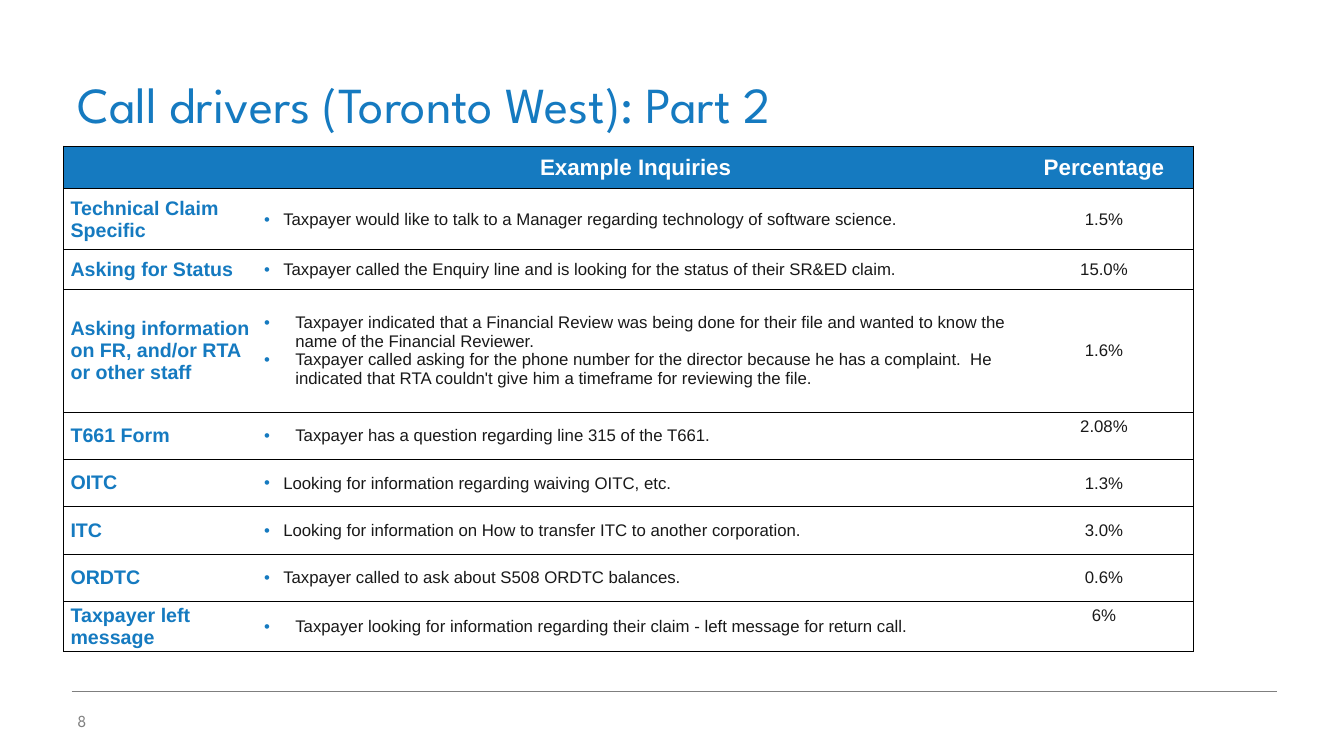
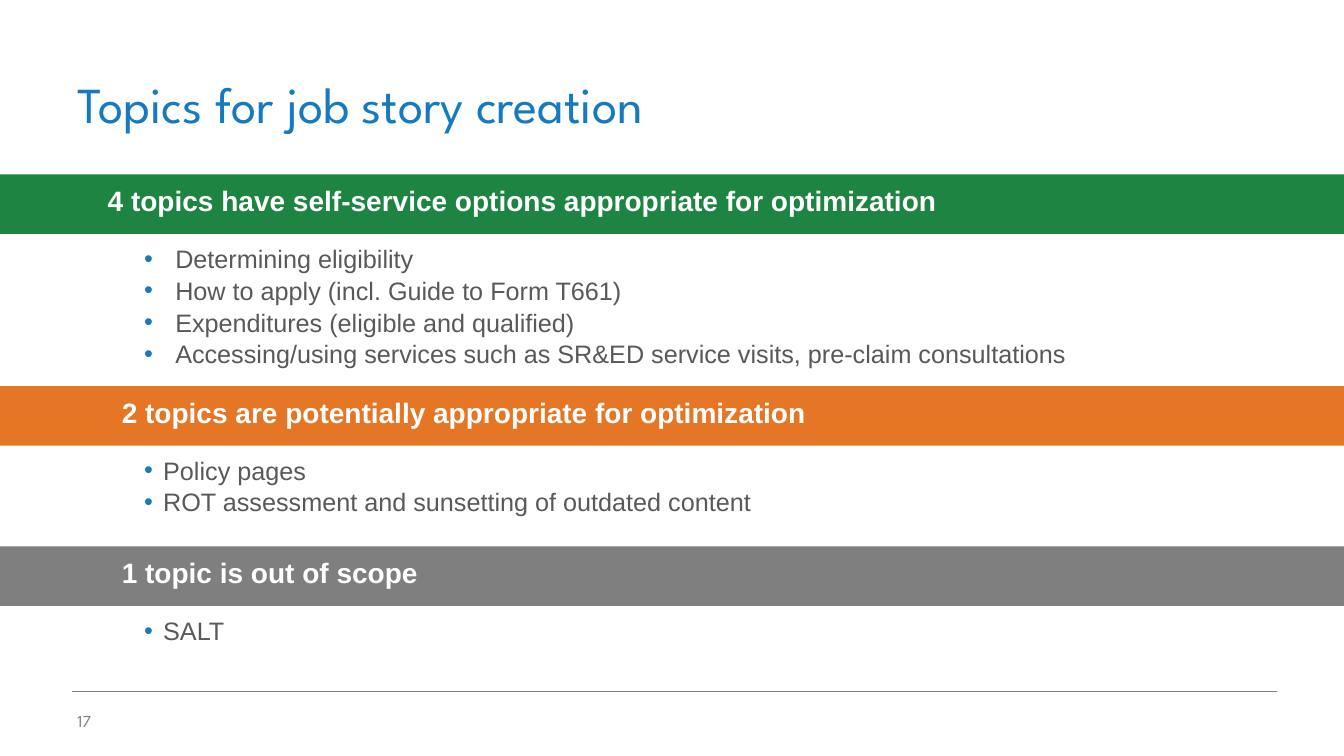
from lxml import etree
from pptx import Presentation
from pptx.dml.color import RGBColor
from pptx.enum.shapes import MSO_CONNECTOR as Connector, MSO_SHAPE as Shape
from pptx.enum.text import MSO_ANCHOR as Anchor, MSO_AUTO_SIZE as AutoSize, PP_ALIGN as Align
from pptx.oxml.ns import qn
from pptx.util import Inches, Pt

COLORS = {
    "blue": "157AC0", "green": "1E8441", "orange": "E47625", "gray": "7F7F7F",
    "body": "595959", "cell": "191919", "white": "FFFFFF", "black": "000000",
}
FONTS = {
    "title": {"name": "League Spartan", "size": Pt(36), "bold": False, "color": "blue"},
    "number": {"name": "League Spartan", "size": Pt(12), "bold": False, "color": "gray"},
    "band": {"name": "Arial", "size": Pt(20), "bold": True, "color": "white"},
    "list": {"name": "Arial", "size": Pt(18), "bold": False, "color": "body"},
    "header": {"name": "Arial", "size": Pt(16), "bold": True, "color": "white"},
    "driver": {"name": "Arial", "size": Pt(14), "bold": True, "color": "blue"},
    "cell": {"name": "Arial", "size": Pt(12), "bold": False, "color": "cell"},
}
NARROW, WIDE = 0.19, 0.31  # hanging indents of bullets


def rgb(color):
    return RGBColor.from_string(COLORS[color])


def set_values(target, **values):
    for name, value in values.items():
        setattr(target, name, value)


def add_color(parent, tag, color):
    holder = etree.SubElement(parent, qn(tag))
    etree.SubElement(holder, qn("a:srgbClr"), val=COLORS[color])


class Deck:
    """Holds the shared style and the slide being built."""

    def __init__(self):
        self.presentation = Presentation()
        set_values(self.presentation, slide_width=Inches(13.33), slide_height=Inches(7.5))
        self.slide = None

    def new_slide(self, title, number):
        self.slide = self.presentation.slides.add_slide(self.presentation.slide_layouts[5])
        shape = self.slide.shapes.title
        set_values(shape, left=Inches(0.67), top=Inches(0.3),
                   width=Inches(12), height=Inches(1.08))
        set_values(shape.text_frame, auto_size=AutoSize.NONE, vertical_anchor=Anchor.BOTTOM)
        self.paragraphs(shape.text_frame, [title], "title")
        self.rule(0.71, 12.67, 6.86)
        self.text([str(number)], "number", 0.67, 6.95, 1.43, 0.4, anchor=Anchor.MIDDLE)

    def paragraphs(self, frame, lines, style, align=Align.LEFT, indent=None, hang=None,
                   spacing=None):
        for index, line in enumerate(lines):
            paragraph = frame.paragraphs[0] if index == 0 else frame.add_paragraph()
            set_values(paragraph, alignment=align, line_spacing=spacing)
            run = paragraph.add_run()
            run.text = line
            for name, value in FONTS[style].items():
                if name == "color":
                    run.font.color.rgb = rgb(value)
                else:
                    setattr(run.font, name, value)
            if hang:
                self.bullet(paragraph, indent or hang, hang)

    def bullet(self, paragraph, indent, hang):
        properties = paragraph._p.get_or_add_pPr()
        properties.set("marL", str(Inches(indent)))
        properties.set("indent", str(-Inches(hang)))
        add_color(properties, "a:buClr", "blue")
        etree.SubElement(properties, qn("a:buFont"), typeface="Arial")
        etree.SubElement(properties, qn("a:buChar"), char="•")

    def text(self, lines, style, left, top, width, height, anchor=Anchor.TOP, **layout):
        box = self.slide.shapes.add_textbox(Inches(left), Inches(top), Inches(width), Inches(height))
        set_values(box.text_frame, word_wrap=True, vertical_anchor=anchor)
        self.paragraphs(box.text_frame, lines, style, **layout)

    def rule(self, left, right, top):
        line = self.slide.shapes.add_connector(
            Connector.STRAIGHT, Inches(left), Inches(top), Inches(right), Inches(top))
        line.line.color.rgb = rgb("gray")
        line.line.width = Pt(0.25)
        etree.SubElement(line._element.spPr, qn("a:effectLst"))

    def band(self, label, color, top, text_left):
        shape = self.slide.shapes.add_shape(
            Shape.RECTANGLE, 0, Inches(top), self.presentation.slide_width, Inches(0.59))
        shape.shadow.inherit = False
        shape.fill.solid()
        shape.fill.fore_color.rgb = rgb(color)
        shape.line.fill.background()
        self.text([label], "band", text_left, top + 0.04, 11.9, 0.44)

    def table(self, left, top, widths, heights):
        frame = self.slide.shapes.add_table(
            len(heights), len(widths), Inches(left), Inches(top),
            Inches(sum(widths)), Inches(sum(heights)))
        table = frame.table
        set_values(table, first_row=False, horz_banding=False)
        for column, width in zip(table.columns, widths):
            column.width = Inches(width)
        for row, height in zip(table.rows, heights):
            row.height = Inches(height)
        return table

    def cell(self, table, row, column, lines, style, fill=None, raised=False, **layout):
        cell = table.cell(row, column)
        set_values(cell, margin_left=Inches(0.07), margin_right=Inches(0.07),
                   margin_top=Inches(0.05 if raised else 0), margin_bottom=0,
                   vertical_anchor=Anchor.TOP if raised else Anchor.MIDDLE)
        last = len(table.columns) - 1
        self.borders(cell, {"L": column == 0, "R": column == last, "T": True, "B": True})
        if fill:
            cell.fill.solid()
            cell.fill.fore_color.rgb = rgb(fill)
        else:
            cell.fill.background()
        self.paragraphs(cell.text_frame, lines, style, **layout)

    def borders(self, cell, sides):
        properties = cell._tc.get_or_add_tcPr()
        for side, visible in sides.items():
            line = etree.SubElement(properties, qn(f"a:ln{side}"), w=str(Pt(0.75)))
            if visible:
                add_color(line, "a:solidFill", "black")
            else:
                etree.SubElement(line, qn("a:noFill"))


# Driver, example inquiries, percentage, hanging indent, row height, raised percentage
CALL_DRIVERS = [
    ("Technical Claim Specific",
     ["Taxpayer would like to talk to a Manager regarding technology of software science."],
     "1.5%", NARROW, 0.61, False),
    ("Asking for Status",
     ["Taxpayer called the Enquiry line and is looking for the status of their SR&ED claim."],
     "15.0%", NARROW, 0.39, False),
    ("Asking information on FR, and/or RTA or other staff",
     ["Taxpayer indicated that a Financial Review was being done for their file and wanted "
      "to know the name of the Financial Reviewer.",
      "Taxpayer called asking for the phone number for the director because he has a "
      "complaint.  He indicated that RTA couldn't give him a timeframe for reviewing the file."],
     "1.6%", WIDE, 1.22, False),
    ("T661 Form", ["Taxpayer has a question regarding line 315 of the T661."],
     "2.08%", WIDE, 0.47, True),
    ("OITC", ["Looking for information regarding waiving OITC, etc."],
     "1.3%", NARROW, 0.47, False),
    ("ITC", ["Looking for information on How to transfer ITC to another corporation."],
     "3.0%", NARROW, 0.47, False),
    ("ORDTC", ["Taxpayer called to ask about S508 ORDTC balances."],
     "0.6%", NARROW, 0.47, False),
    ("Taxpayer left message",
     ["Taxpayer looking for information regarding their claim - left message for return call."],
     "6%", WIDE, 0.5, True),
]

# Band label, colour, band top, label left, topics, hanging indent
TOPIC_GROUPS = [
    ("4 topics have self-service options appropriate for optimization", "green", 1.73, 0.97,
     ["Determining eligibility",
      "How to apply (incl. Guide to Form T661)",
      "Expenditures (eligible and qualified)",
      "Accessing/using services such as SR&ED service visits, pre-claim consultations"], WIDE),
    ("2 topics are potentially appropriate for optimization", "orange", 3.83, 1.11,
     ["Policy pages", "ROT assessment and sunsetting of outdated content"], NARROW),
    ("1 topic is out of scope", "gray", 5.42, 1.11, ["SALT"], NARROW),
]


def build_call_drivers(deck):
    deck.new_slide("Call drivers (Toronto West): Part 2", 8)
    heights = [0.42] + [driver[4] for driver in CALL_DRIVERS]
    table = deck.table(0.63, 1.45, [1.92, 7.51, 1.78], heights)
    # Header row
    for column, label in enumerate([[], ["Example Inquiries"], ["Percentage"]]):
        deck.cell(table, 0, column, label, "header", fill="blue", align=Align.CENTER)
    # One row per call driver
    for row, (driver, inquiries, share, hang, _, raised) in enumerate(CALL_DRIVERS, 1):
        deck.cell(table, row, 0, [driver], "driver")
        deck.cell(table, row, 1, inquiries, "cell", hang=hang)
        deck.cell(table, row, 2, [share], "cell", raised=raised, align=Align.CENTER)


def build_topics(deck):
    deck.new_slide("Topics for job story creation", 17)
    for label, color, top, text_left, topics, hang in TOPIC_GROUPS:
        deck.band(label, color, top, text_left)
        deck.text(topics, "list", 0.83, top + 0.62, 10.32, 0.1 + 0.3 * len(topics),
                  indent=0.5 + hang, hang=hang, spacing=1.05)


def main():
    deck = Deck()
    build_call_drivers(deck)
    build_topics(deck)
    deck.presentation.save("out.pptx")


if __name__ == "__main__":
    main()
